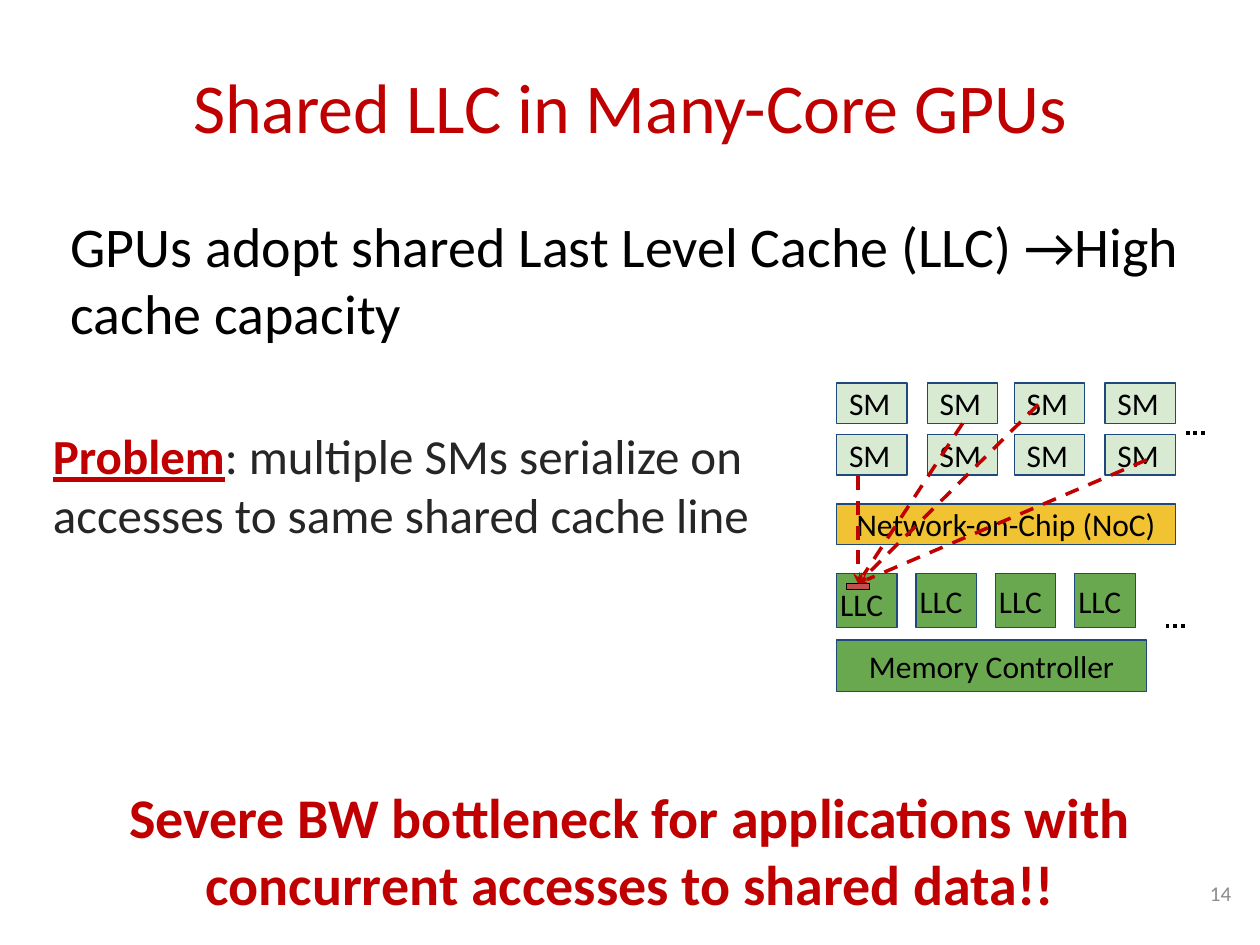
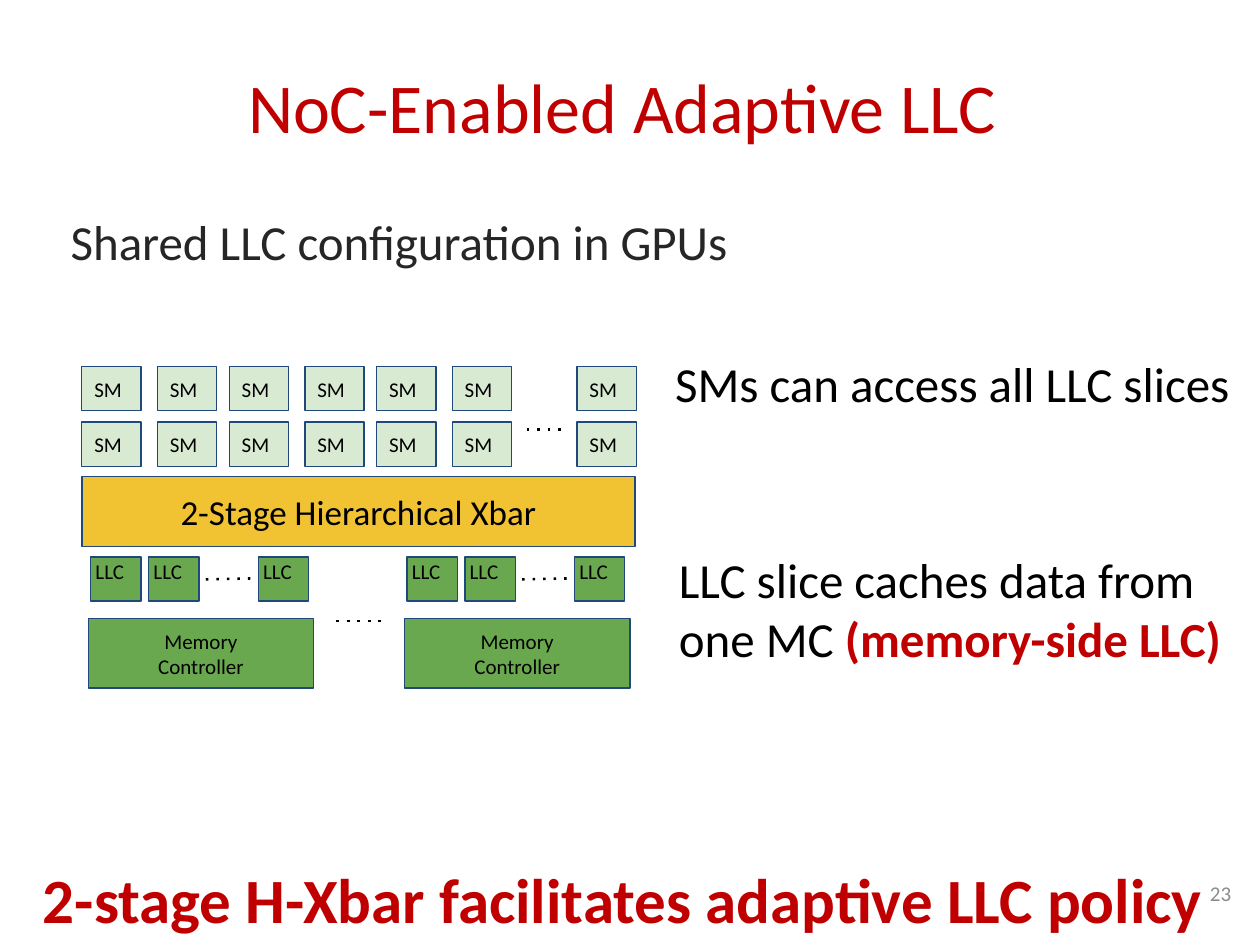
from dataclasses import dataclass
from lxml import etree
from pptx import Presentation
from pptx.dml.color import RGBColor
from pptx.enum import shapes, text
from pptx.oxml import ns
from pptx.util import Inches, Pt


@dataclass(frozen=True)
class Theme:
    font: str = "Calibri"
    red: str = "C00000"
    black: str = "000000"
    ink: str = "262626"
    grey: str = "8C8C8C"
    outline: str = "1F497D"
    sm: str = "D9EAD3"
    noc: str = "F1C232"
    llc: str = "6AA84F"
    cache_line: str = "C0504D"
    title: int = 40
    lead: int = 32
    body: int = 28
    banner: int = 36
    xbar: int = 20
    label: int = 18
    small: int = 12


T = Theme()
LEFT, CENTER, RIGHT, JUSTIFY = (
    text.PP_ALIGN.LEFT, text.PP_ALIGN.CENTER, text.PP_ALIGN.RIGHT, text.PP_ALIGN.JUSTIFY)
TOP, MIDDLE = text.MSO_ANCHOR.TOP, text.MSO_ANCHOR.MIDDLE

BODY_INSETS = (0.22, 0.1)
NOTE_INSETS = (0.1, 0.05)

SHARED = {
    "title": "Shared LLC in Many-Core GPUs",
    "number": "14",
    "banner": ("Severe BW bottleneck for applications with concurrent accesses to shared data!!",
               6.11, T.lead),
    "lead": "GPUs adopt shared Last Level Cache (LLC) →High cache capacity",
    "problem": [("Problem", T.red, True, True),
                (": multiple SMs serialize on accesses to same shared cache line",
                 T.ink, False, False)],
    "noc": "Network-on-Chip (NoC)",
    "memory": "Memory Controller",
    "dots": [(9.25, 4.97), (9.41, 3.44)],
    "accesses": [(6.81, 3.78), (7.64, 3.36), (8.24, 3.21), (9.1, 3.65)],
}
ADAPTIVE = {
    "title": "NoC-Enabled Adaptive LLC ",
    "number": "23",
    "banner": ("2-stage H-Xbar facilitates adaptive LLC policy ", 6.73, T.banner),
    "lead": "Shared LLC configuration in GPUs",
    "access": "SMs can access all LLC slices",
    "slices": [("LLC slice caches data from one MC ", T.black, False, False),
               ("(memory-side LLC)", T.red, True, False)],
    "xbar": "2-Stage Hierarchical Xbar",
    "memory": "Memory\nController",
    "dots": [(4.18, 3.41, 4.49), (2.67, 4.93, 3.08)],
    "clusters": [0.7, 3.21],
    "llc_offsets": [0.02, 0.48, 1.35],
}


def rgb(value):
    return RGBColor.from_string(value)


def write(sp, content, size, color=T.black, bold=False, align=LEFT, anchor=TOP,
          insets=(0.1, 0.1), wrap=True):
    tf = sp.text_frame
    tf.word_wrap, tf.vertical_anchor = wrap, anchor
    tf.margin_left, tf.margin_top = Inches(insets[0]), Inches(insets[1])
    tf.margin_right, tf.margin_bottom = Inches(0.1), Inches(insets[1])
    if isinstance(content, str):
        lines = [[(line, color, bold, False)] for line in content.split("\n")]
    else:
        lines = [content]
    for i, runs in enumerate(lines):
        p = tf.paragraphs[0] if i == 0 else tf.add_paragraph()
        p.alignment = align
        for words, run_color, run_bold, underline in runs:
            r = p.add_run()
            r.text = words
            r.font.name, r.font.size = T.font, Pt(size)
            r.font.bold, r.font.underline = run_bold, underline
            r.font.color.rgb = rgb(run_color)


def label(s, at, content, size, **style):
    sp = s.shapes.add_textbox(*map(Inches, at))
    write(sp, content, size, **style)


def block(s, at, fill, content="", size=T.label, align=CENTER, line=T.outline, weight=0.75):
    sp = s.shapes.add_shape(shapes.MSO_SHAPE.RECTANGLE, *map(Inches, at))
    sp.shadow.inherit = False
    sp.fill.solid()
    sp.fill.fore_color.rgb = rgb(fill)
    sp.line.color.rgb = rgb(line)
    sp.line.width = Pt(weight)
    if content:
        write(sp, content, size, align=align, anchor=MIDDLE)
    return sp


def dashed(s, start, end, color, weight, dash, arrow=False):
    c = s.shapes.add_connector(shapes.MSO_CONNECTOR.STRAIGHT, *map(Inches, (*start, *end)))
    c.line.color.rgb = rgb(color)
    c.line.width = Pt(weight)
    props = c._element.spPr
    ln = props.find(ns.qn("a:ln"))
    etree.SubElement(ln, ns.qn("a:prstDash")).set("val", dash)
    if arrow:
        etree.SubElement(ln, ns.qn("a:tailEnd")).set("type", "stealth")
    etree.SubElement(props, ns.qn("a:effectLst"))
    return c


def sm_grid(s, columns, rows, width, height, size):
    return [[block(s, (x, y, width, height), T.sm, "SM", size, JUSTIFY) for x in columns]
            for y in rows]


def paired_columns(left, pairs, pair_pitch, inner_pitch):
    return [left + i * pair_pitch + dx for i in range(pairs) for dx in (0, inner_pitch)]


def base_slide(prs, content):
    s = prs.slides.add_slide(prs.slide_layouts[6])
    label(s, (0.34, 0.42, 9.32, 0.84), content["title"], T.title, color=T.red,
          align=CENTER, anchor=MIDDLE, insets=NOTE_INSETS)
    label(s, (9.27, 6.8, 0.6, 0.57), content["number"], T.small, color=T.grey,
          align=RIGHT, anchor=MIDDLE)
    words, top, size = content["banner"]
    label(s, (0, top, 10, 0.67), words, size, color=T.red, bold=True, align=CENTER)
    return s


def shared_slide(prs):
    s = base_slide(prs, SHARED)
    label(s, (0.34, 1.58, 9.15, 1.95), SHARED["lead"], T.lead, insets=BODY_INSETS)
    label(s, (0.2, 3.28, 6.22, 1.5), SHARED["problem"], T.body, insets=BODY_INSETS)

    left = 6.64
    sms = sm_grid(s, paired_columns(left, 2, 1.41, 0.72), (3.04, 3.45), 0.56, 0.32, T.label)
    block(s, (left, 4, 2.69, 0.32), T.noc, SHARED["noc"])
    block(s, (left, 5.08, 2.46, 0.41), T.llc, SHARED["memory"])
    slices = [left + 0.63 * i for i in range(4)]
    for i, x in enumerate(slices):
        block(s, (x, 4.55, 0.48, 0.43), T.llc)
        if i:
            label(s, (x - 0.07, 4.52, 0.64, 0.38), "LLC", T.label)
    for x, y in SHARED["dots"]:
        dashed(s, (x, y), (x + 0.16, y), T.black, 2.25, "sysDot")

    arrows = [dashed(s, start, (6.81, 4.63), T.red, 2, "dash", True)
              for start in SHARED["accesses"]]
    cache_line = block(s, (6.72, 4.63, 0.18, 0.05), T.cache_line, line=T.black, weight=0.5)
    for arrow in arrows:
        arrow.end_connect(cache_line, 0)
    arrows[1].begin_connect(sms[0][1], 2)
    label(s, (left - 0.07, 4.54, 0.64, 0.31), "LLC", T.label)


def adaptive_slide(prs):
    s = base_slide(prs, ADAPTIVE)
    label(s, (0.34, 1.58, 9.32, 1), ADAPTIVE["lead"], T.body, color=T.ink, insets=BODY_INSETS)
    label(s, (5.26, 2.76, 4.65, 0.57), ADAPTIVE["access"], T.body,
          insets=NOTE_INSETS, wrap=False)
    label(s, (5.29, 4.31, 4.58, 1.04), ADAPTIVE["slices"], T.body, insets=NOTE_INSETS)

    left = 0.65
    columns = paired_columns(left, 3, 1.17, 0.6) + [4.58]
    sm_grid(s, columns, (2.91, 3.35), 0.47, 0.35, T.small)
    block(s, (left, 3.78, 4.39, 0.56), T.noc, ADAPTIVE["xbar"], T.xbar)
    for x, y, end in ADAPTIVE["dots"]:
        dashed(s, (x, y), (end, y), T.black, 1.5, "dot")
    for x in ADAPTIVE["clusters"]:
        block(s, (x, 4.91, 1.79, 0.55), T.llc, ADAPTIVE["memory"], T.small)
        dashed(s, (x + 0.85, 4.6), (x + 1.33, 4.59), T.black, 1.5, "dot")
        for dx in ADAPTIVE["llc_offsets"]:
            block(s, (x + dx, 4.42, 0.4, 0.35), T.llc)
            label(s, (x + dx - 0.06, 4.33, 0.53, 0.31), "LLC", T.small)


def main():
    prs = Presentation()
    prs.slide_width, prs.slide_height = Inches(10), Inches(7.5)
    shared_slide(prs)
    adaptive_slide(prs)
    prs.save("out.pptx")


if __name__ == "__main__":
    main()
